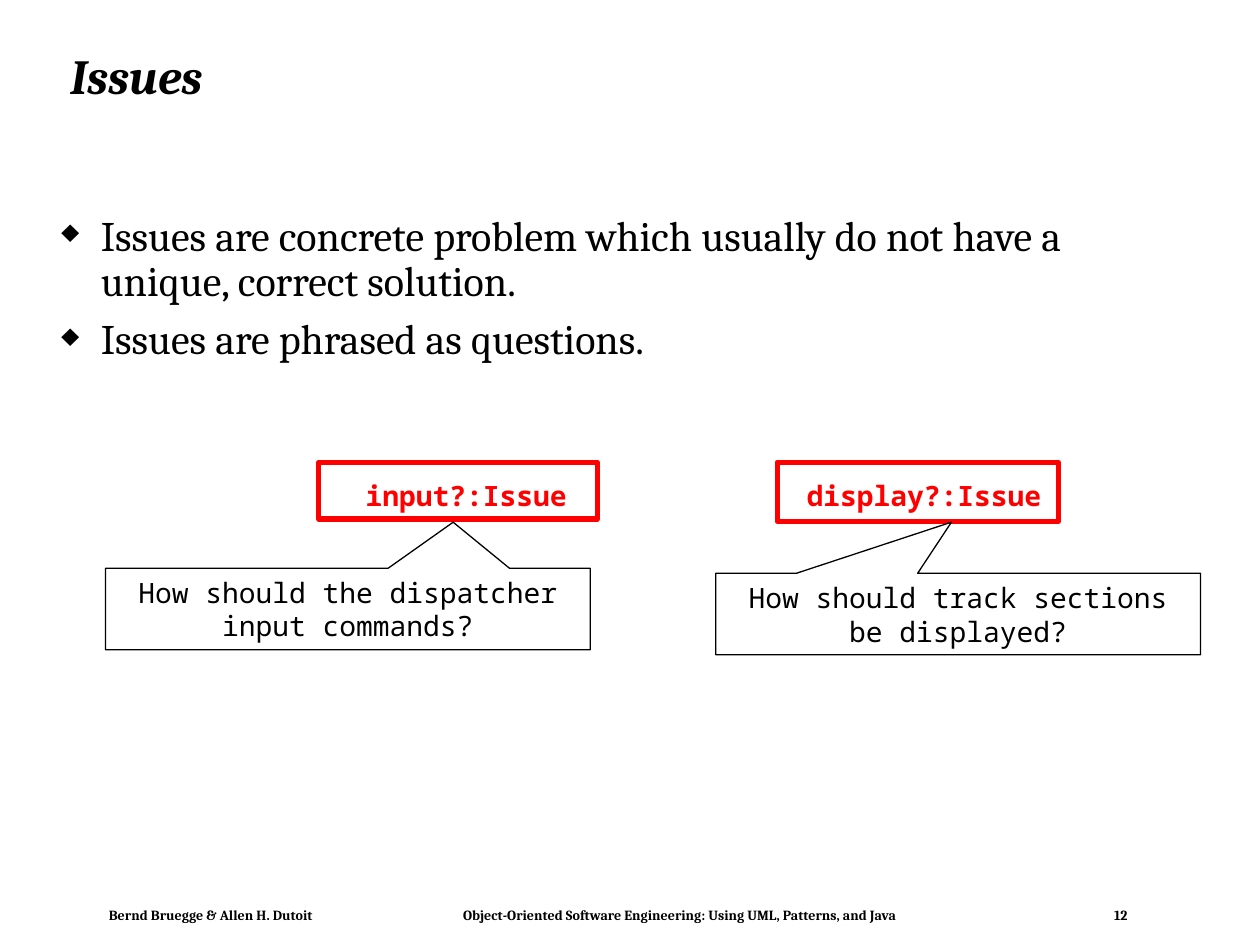
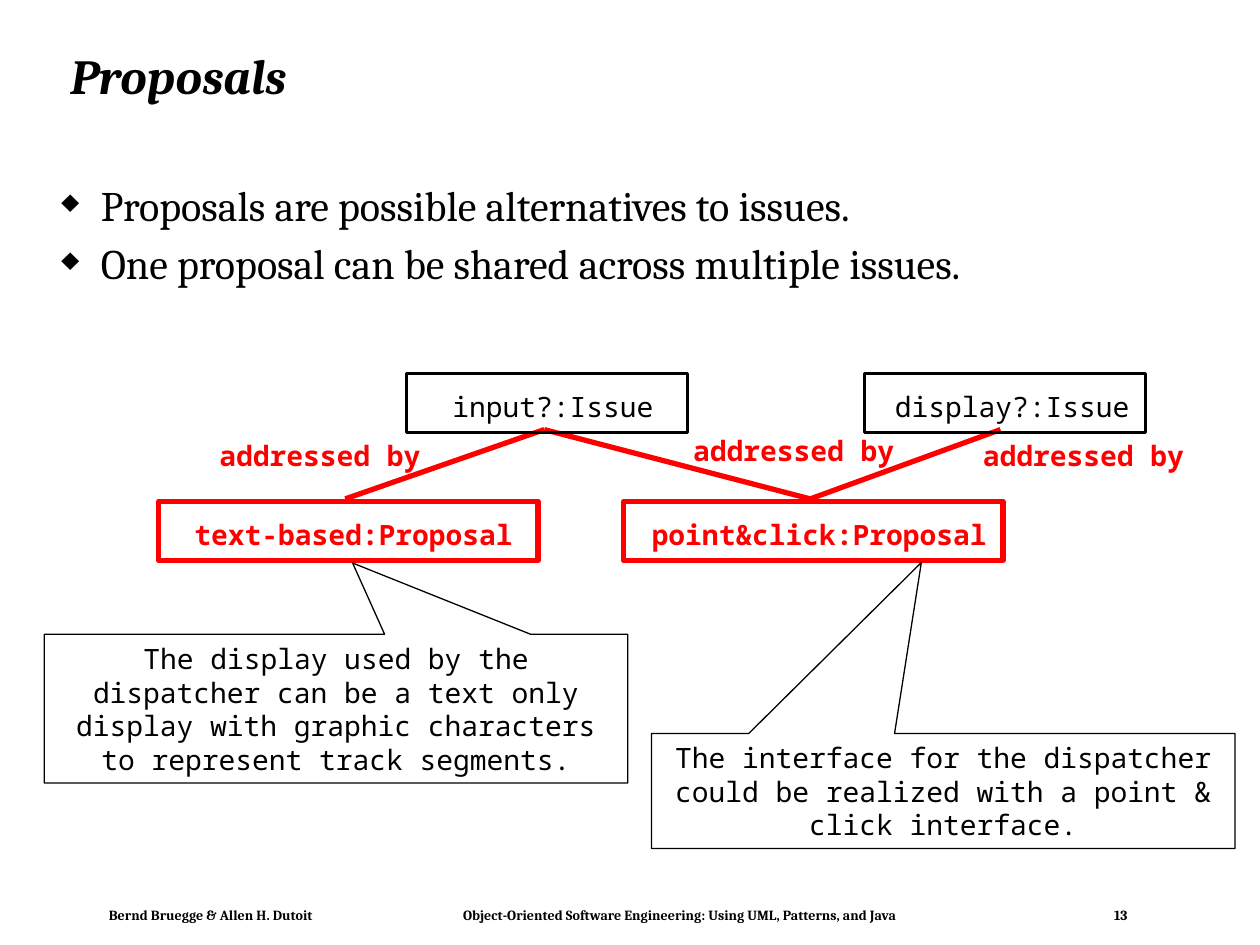
from dataclasses import dataclass

import pptx
import pptx.dml.color
import pptx.enum.shapes
import pptx.enum.text
import pptx.oxml
import pptx.oxml.ns
import pptx.util
from pptx.util import Pt

COLORS = {"ink": "000000", "accent": "FF0000", "paper": "FFFFFF"}
SERIF = "Cambria"
MONO = "Noto Sans Mono"
MONO_SIZE = 16
MONO_ADVANCE = 9.6  # width of one monospaced character at MONO_SIZE
LABEL_HEIGHT = 19.4
BODY_INDENT = 22.5
FOOTER_TABS = (202.4, 574.4)

ALIGN = pptx.enum.text.PP_ALIGN
ANCHOR = pptx.enum.text.MSO_ANCHOR
AUTO_SIZE = pptx.enum.text.MSO_AUTO_SIZE
SHAPE = pptx.enum.shapes.MSO_SHAPE


@dataclass(frozen=True)
class Node:
    """A UML object box whose name starts label_dx, label_dy inside it."""
    name: str
    left: float
    top: float
    width: float
    label_dx: float
    height: float = 33.8
    label_dy: float = 9.5
    highlighted: bool = True
    filled: bool = False


@dataclass(frozen=True)
class Callout:
    text: str
    left: float
    top: float
    width: float
    height: float
    tip: tuple[float, float]


@dataclass(frozen=True)
class Link:
    start: tuple[float, float]
    end: tuple[float, float]
    label_at: tuple[float, float]


def rgb(name: str) -> pptx.dml.color.RGBColor:
    return pptx.dml.color.RGBColor.from_string(COLORS[name])


def add_paragraph_xml(paragraph, xml: str) -> None:
    namespace = pptx.oxml.ns.nsdecls("a")
    wrapper = pptx.oxml.parse_xml(f"<a:pPr {namespace}>{xml}</a:pPr>")
    properties = paragraph._p.get_or_add_pPr()
    for element in list(wrapper):
        properties.append(element)


def write(frame, *lines: str, size: float, font: str = SERIF, color: str = "ink",
          bold: bool = False, italic: bool = False, align=ALIGN.LEFT,
          anchor=ANCHOR.TOP, inset: tuple[float, float] = (7.2, 3.6),
          wrap: bool = True, auto_size=AUTO_SIZE.NONE, spacing: float = 1.0,
          gap: float = 0, bulleted: bool = False, tabs: tuple = ()) -> None:
    """Fill a text frame, one paragraph per line; gap separates paragraphs."""
    frame.word_wrap = wrap
    frame.auto_size = auto_size
    frame.vertical_anchor = anchor
    frame.margin_left = frame.margin_right = Pt(inset[0])
    frame.margin_top = frame.margin_bottom = Pt(inset[1])
    for index, line in enumerate(lines):
        paragraph = frame.add_paragraph() if index else frame.paragraphs[0]
        paragraph.alignment = align
        paragraph.line_spacing = spacing
        paragraph.space_before = Pt(gap if index else 0)
        if bulleted:
            properties = paragraph._p.get_or_add_pPr()
            properties.set("marL", str(Pt(BODY_INDENT)))
            properties.set("indent", str(-Pt(BODY_INDENT)))
            add_paragraph_xml(
                paragraph,
                f'<a:buClr><a:srgbClr val="{COLORS["ink"]}"/></a:buClr>'
                '<a:buSzPct val="75000"/><a:buChar char="♦"/>')
        if tabs:
            stops = "".join(f'<a:tab pos="{Pt(stop)}" algn="l"/>' for stop in tabs)
            add_paragraph_xml(paragraph, f"<a:tabLst>{stops}</a:tabLst>")
        run = paragraph.add_run()
        run.text = line
        run.font.name = font
        run.font.size = Pt(size)
        run.font.bold = bold
        run.font.italic = italic
        run.font.color.rgb = rgb(color)


def add_text(slide, left: float, top: float, width: float, height: float,
             *lines: str, **style) -> None:
    box = slide.shapes.add_textbox(Pt(left), Pt(top), Pt(width), Pt(height))
    write(box.text_frame, *lines, **style)


def add_outlined(slide, kind, item: Node | Callout, color: str, weight: float,
                 filled: bool):
    shape = slide.shapes.add_shape(kind, Pt(item.left), Pt(item.top),
                                   Pt(item.width), Pt(item.height))
    shape.shadow.inherit = False
    if filled:
        shape.fill.solid()
        shape.fill.fore_color.rgb = rgb("paper")
    else:
        shape.fill.background()
    shape.line.color.rgb = rgb(color)
    shape.line.width = Pt(weight)
    return shape


def add_label(slide, text: str, left: float, top: float, highlighted: bool) -> None:
    add_text(slide, left, top, len(text) * MONO_ADVANCE, LABEL_HEIGHT, text,
             size=MONO_SIZE, font=MONO, color="accent" if highlighted else "ink",
             bold=highlighted, align=ALIGN.CENTER, inset=(0, 0), wrap=False,
             auto_size=AUTO_SIZE.SHAPE_TO_FIT_TEXT)


def add_node(slide, node: Node) -> None:
    color, weight = ("accent", 3) if node.highlighted else ("ink", 1.5)
    add_outlined(slide, SHAPE.RECTANGLE, node, color, weight, node.filled)
    add_label(slide, node.name, node.left + node.label_dx,
              node.top + node.label_dy, node.highlighted)


def add_callout(slide, callout: Callout) -> None:
    shape = add_outlined(slide, SHAPE.RECTANGULAR_CALLOUT, callout, "ink", 0.75, True)
    tip_x, tip_y = callout.tip
    shape.adjustments[0] = (tip_x - callout.left) / callout.width - 0.5
    shape.adjustments[1] = (tip_y - callout.top) / callout.height - 0.5
    write(shape.text_frame, callout.text, size=MONO_SIZE, font=MONO,
          align=ALIGN.CENTER, anchor=ANCHOR.MIDDLE,
          auto_size=AUTO_SIZE.SHAPE_TO_FIT_TEXT)


def add_link(slide, link: Link) -> None:
    line = slide.shapes.add_connector(
        pptx.enum.shapes.MSO_CONNECTOR.STRAIGHT,
        *(Pt(value) for value in link.start + link.end))
    line.line.color.rgb = rgb("accent")
    line.line.width = Pt(3)
    namespace = pptx.oxml.ns.nsdecls("a")
    line._element.spPr.append(pptx.oxml.parse_xml(f"<a:effectLst {namespace}/>"))
    add_label(slide, "addressed by", *link.label_at, highlighted=True)


def add_content_slide(deck, title: str, number: int, points: tuple[str, ...],
                      body_top: float, body_height: float):
    """Add a slide with the shared title, bullet list and footer."""
    title_only = deck.slide_layouts[5]
    slide = deck.slides.add_slide(title_only)
    heading = slide.shapes.title
    heading.left, heading.top = Pt(33), Pt(17.3)
    heading.width, heading.height = Pt(642), Pt(55.4)
    write(heading.text_frame, title, size=28, bold=True, italic=True,
          anchor=ANCHOR.MIDDLE, spacing=0.9)
    footer = ("Bernd Bruegge & Allen H. Dutoit\tObject-Oriented Software "
              f"Engineering: Using UML, Patterns, and Java\t{number}")
    add_text(slide, 56.2, 514.8, 595.4, 15.1, footer, size=8, bold=True,
             inset=(6, 3), tabs=FOOTER_TABS)
    add_text(slide, 28, body_top, 650, body_height, *points, size=24,
             spacing=0.9, gap=7.2, bulleted=True)
    return slide


def add_issues(deck) -> None:
    slide = add_content_slide(
        deck, "Issues", 12,
        ("Issues are concrete problem which usually do not have a unique, "
         "correct solution.",
         "Issues are phrased as questions."),
        body_top=119.5, body_height=106.6)
    for node in (
        Node("display?:Issue", 444.2, 264.2, 160.6, 16.6),
        Node("input?:Issue", 182.2, 264.2, 159.1, 26.6, height=32.4, filled=True),
    ):
        add_node(slide, node)
    for callout in (
        Callout("How should the dispatcher input commands?",
                60.3, 324.7, 277, 46.6, tip=(259, 298.4)),
        Callout("How should track sections be displayed?",
                409, 327.6, 277, 46.6, tip=(543.7, 298.4)),
    ):
        add_callout(slide, callout)


def add_proposals(deck) -> None:
    slide = add_content_slide(
        deck, "Proposals", 13,
        ("Proposals are possible alternatives to issues.",
         "One proposal can be shared across multiple issues."),
        body_top=102.2, body_height=80.6)
    input_foot, display_foot = (311, 245.5), (571.7, 245.5)
    text_head, point_head = (197.3, 285.1), (463, 285.1)
    for link in (
        Link(point_head, display_foot, label_at=(561.6, 250.8)),
        Link(input_foot, text_head, label_at=(125.3, 250.8)),
        Link(point_head, input_foot, label_at=(396, 247.7)),
    ):
        add_link(slide, link)
    for node in (
        Node("display?:Issue", 493.9, 213.3, 160.6, 17.3, highlighted=False),
        Node("input?:Issue", 232.4, 213.3, 160.6, 26, highlighted=False),
        Node("text-based:Proposal", 90.7, 286.5, 216.7, 20.2),
        Node("point&click:Proposal", 356.4, 286.5, 216.7, 15.8),
    ):
        add_node(slide, node)
    for callout in (
        Callout("The interface for the dispatcher could be realized with a "
                "point & click interface.",
                372.3, 419.2, 333.4, 65.7, tip=(526.5, 321.5)),
        Callout("The display used by the dispatcher can be a text only display "
                "with graphic characters to represent track segments.",
                25.3, 362.4, 333.4, 85, tip=(201.5, 321.7)),
    ):
        add_callout(slide, callout)


def main() -> None:
    deck = pptx.Presentation()
    deck.slide_width, deck.slide_height = Pt(720), Pt(540)
    add_issues(deck)
    add_proposals(deck)
    deck.save("out.pptx")


if __name__ == "__main__":
    main()
